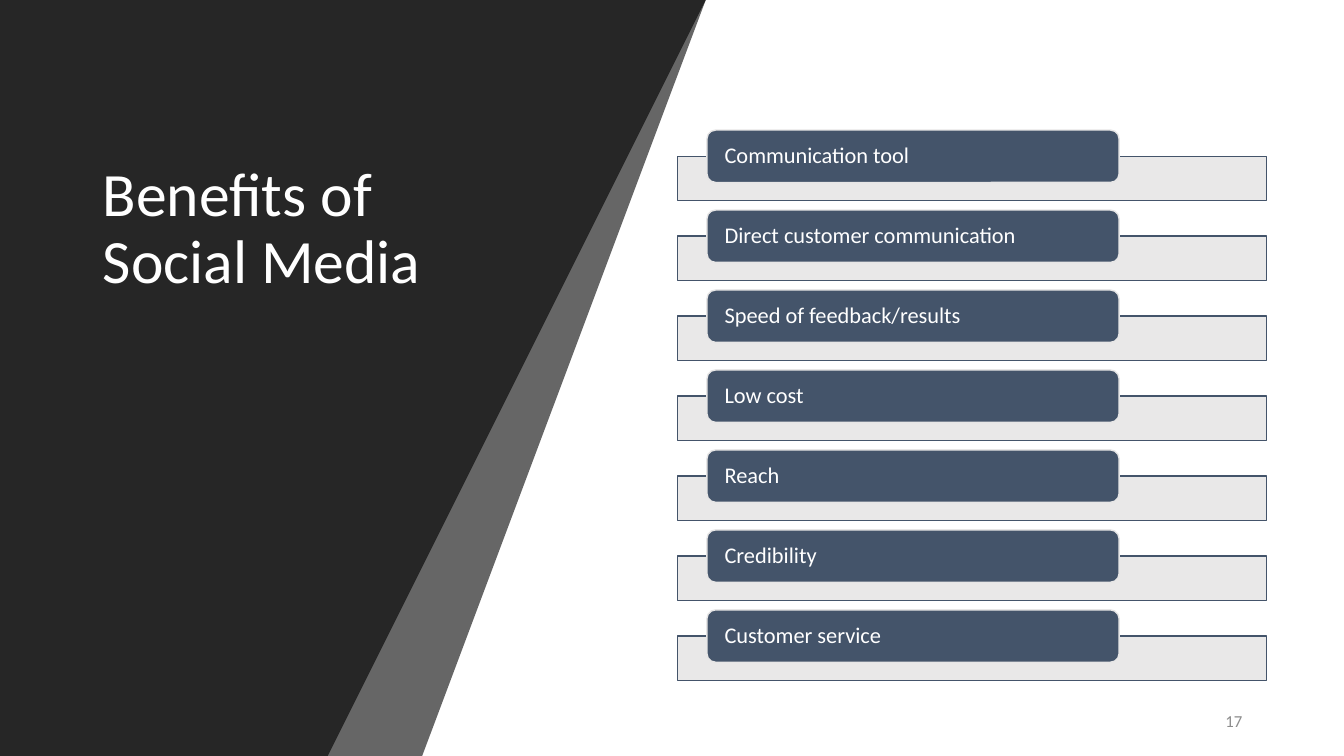
import pptx
import pptx.util
import pptx.dml.color
import pptx.enum.shapes
import pptx.enum.text
import pptx.oxml.ns
import lxml.etree

WIDE, HIGH = 13.33, 7.5
DARK, SLATE, PALE, WHITE, GREY = "262626", "44546A", "E7E6E6", "FFFFFF", "8C8C8C"
GAINS = [
    "Communication tool",
    "Direct customer communication",
    "Speed of feedback/results",
    "Low cost",
    "Reach",
    "Credibility",
    "Customer service",
]
SHAPE = pptx.enum.shapes.MSO_SHAPE
ALIGN = pptx.enum.text.PP_ALIGN
INCH = pptx.util.Inches


def tint(color, code):
    """Set a colour format from a hex string."""
    color.rgb = pptx.dml.color.RGBColor.from_string(code)


def paint(shape, fill, line=None, alpha=100):
    """Set fill, outline and opacity in percent."""
    shape.shadow.inherit = False
    shape.fill.solid()
    tint(shape.fill.fore_color, fill)
    if alpha < 100:
        node = shape.fill._xPr.find(".//" + pptx.oxml.ns.qn("a:srgbClr"))
        mark = lxml.etree.SubElement(node, pptx.oxml.ns.qn("a:alpha"))
        mark.set("val", str(alpha * 1000))
    if line:
        tint(shape.line.color, line)
        shape.line.width = pptx.util.Pt(1)
    else:
        shape.line.fill.background()


def write(shape, text, size, color=WHITE, align=ALIGN.LEFT, space=1.0, inset=(0.1, 0.05)):
    """Fill a shape with one formatted paragraph."""
    frame = shape.text_frame
    frame.word_wrap = True
    frame.auto_size = pptx.enum.text.MSO_AUTO_SIZE.NONE
    frame.vertical_anchor = pptx.enum.text.MSO_ANCHOR.MIDDLE
    frame.margin_left = frame.margin_right = INCH(inset[0])
    frame.margin_top = frame.margin_bottom = INCH(inset[1])
    para = frame.paragraphs[0]
    para.alignment, para.line_spacing = align, space
    run = para.add_run()
    run.text = text
    run.font.name, run.font.size = "Calibri", pptx.util.Pt(size)
    tint(run.font.color, color)


def place(shape, box):
    """Move a shape to a box given in inches."""
    shape.left, shape.top, shape.width, shape.height = map(INCH, box)


def panel(slide, top, foot, alpha=100):
    """Draw a slanted panel from the left edge to its top and foot widths."""
    pen = slide.shapes.build_freeform(0, 0, scale=INCH(1))
    pen.add_line_segments([(top, 0), (foot, HIGH), (0, HIGH)], close=True)
    paint(pen.convert_to_shape(), DARK, alpha=alpha)


def head(slide, box):
    """Place the title above the panels."""
    title = slide.shapes.title
    place(title, box)
    write(title, "Benefits of Social Media", 44, space=0.9)
    slide.shapes._spTree.append(title._element)


def stack(slide, box):
    """Draw the benefits as evenly spaced bars with labels."""
    left, top, wide, high = box
    bar, pill = 0.44, 0.52
    step = (high - bar - 0.26) / (len(GAINS) - 1)
    for row, gain in enumerate(GAINS):
        y = top + row * step
        base = slide.shapes.add_shape(
            SHAPE.RECTANGLE, INCH(left), INCH(y + 0.26), INCH(wide), INCH(bar))
        paint(base, PALE, SLATE, alpha=90)
        label = slide.shapes.add_shape(
            SHAPE.ROUNDED_RECTANGLE, INCH(left + wide * 0.05), INCH(y),
            INCH(wide * 0.7), INCH(pill))
        paint(label, SLATE, PALE)
        write(label, gain, 16, space=0.9, inset=(0.15, 0))


def folio(slide, box):
    """Write the page number."""
    note = slide.shapes.add_textbox(*map(INCH, box))
    write(note, "17", 12, color=GREY, align=ALIGN.RIGHT)


def main():
    """Build and save the slide."""
    deck = pptx.Presentation()
    deck.slide_width, deck.slide_height = INCH(WIDE), INCH(HIGH)
    slide = deck.slides.add_slide(deck.slide_layouts[5])
    panel(slide, 6.98, 3.5, alpha=70)
    panel(slide, 6.53, 3.06)
    head(slide, (0.92, 0.48, 3.58, 3.6))
    stack(slide, (6.72, 1.29, 5.84, 5.46))
    folio(slide, (9.42, 6.95, 3, 0.4))
    deck.save("out.pptx")


if __name__ == "__main__":
    main()
